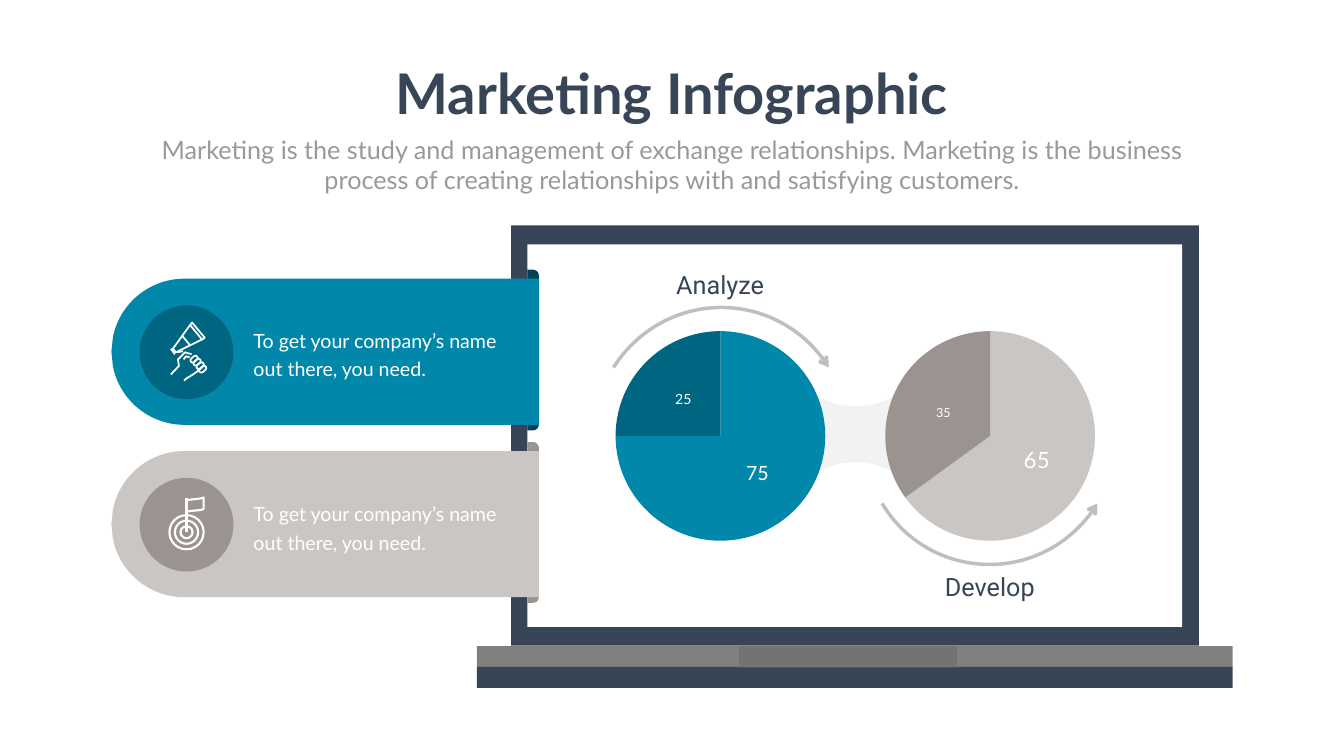
import pptx
import pptx.util
import pptx.dml.color
import pptx.chart.data
import pptx.oxml
import pptx.oxml.ns
from pptx.enum.chart import XL_CHART_TYPE, XL_LABEL_POSITION
from pptx.enum.shapes import MSO_CONNECTOR, MSO_SHAPE
from pptx.enum.text import MSO_ANCHOR, PP_ALIGN

PX = 9144
WIDTH, HEIGHT = 2666, 1500
NAVY, GREY, WHITE, SOFT = "374556", "808080", "FFFFFF", "999999"

TITLE = "Marketing Infographic"
SUBTITLE = ("Marketing is the study and management of exchange relationships. Marketing is the "
            "business process of creating relationships with and satisfying customers.")
BANNER_TEXT = "To get your company’s name out there, you need."

LAPTOP = [
    ((1014, 447, 1364, 834), NAVY),
    ((1046, 485, 1299, 759), WHITE),
    ((946, 1282, 1499, 42), GREY),
    ((946, 1323, 1499, 42), NAVY),
    ((1466, 1282, 432, 42), "737373"),
]
BANNERS = [
    {"top": 553, "text_top": 637, "fill": "0087AA", "tab": "004355", "disc": "006580"},
    {"top": 895, "text_top": 981, "fill": "CAC6C4", "tab": "9B9390", "disc": "9B9390"},
]
PIES = [
    {"left": 1203, "slices": [(75, "0087AA", 28), (25, "006580", 20)]},
    {"left": 1738, "slices": [(65, "CAC6C4", 32), (35, "9B9390", 18)]},
]
STEPS = [
    ("Analyze", (1301, 536, 255, 57),
     [(1217, 729), (1262, 658, 1341, 610, 1431, 610), (1521, 610, 1600, 658, 1644, 729)]),
    ("Develop", (1836, 1135, 255, 57),
     [(1750, 999), (1793, 1072, 1873, 1120, 1963, 1120), (2053, 1120, 2132, 1072, 2177, 999)]),
]
NECK = [(1811, 751), (1811, 972), (1786, 939, 1744, 917, 1697, 917),
        (1650, 917, 1608, 939, 1583, 972), (1583, 751),
        (1608, 785, 1650, 806, 1697, 806), (1744, 806, 1786, 785, 1811, 751)]
BANNER = [(366, 0), (1069, 0), (1069, 290), (366, 290), (296, 290, 237, 240, 224, 174),
          (221, 145), (224, 116), (237, 50, 296, 0, 366, 0)]

MEGAPHONE = [
    [(377, 645), (381, 640), (406, 670), (401, 674), (377, 645)],
    [(377, 645), (343, 692), (349, 699), (400, 674)],
    [(339, 743), (355, 726), (353, 713), (367, 699), (380, 703)],
    [(364, 713), (369, 707), (376, 709)],
    [(365, 755), (371, 750), (389, 740, 396, 733, 404, 726)],
]
MEGAPHONE_LINES = [((339, 692), (347, 703)), ((362, 667), (377, 685)), ((350, 699), (363, 697))]
FINGERS = [(378, 709), (384, 715), (390, 722), (395, 729)]
TARGET_CENTRE = (370, 1056)
TARGET_RADII = [34, 23, 12]
FLAG = [(370, 993), (378, 990, 395, 991, 404, 987), (404, 1010),
        (395, 1014, 378, 1012, 370, 1016)]


def rgb(color):
    return pptx.dml.color.RGBColor.from_string(color)


def emu(*values):
    return [round(v * PX) for v in values]


def paint(s, fill=None, line=None, width=2.5, alpha=None):
    s.shadow.inherit = False
    if fill:
        s.fill.solid()
        s.fill.fore_color.rgb = rgb(fill)
    else:
        s.fill.background()
    if line:
        s.line.color.rgb = rgb(line)
        s.line.width = pptx.util.Pt(width)
    else:
        s.line.fill.background()
    if alpha:
        for color in s._element.iter(pptx.oxml.ns.qn("a:srgbClr")):
            pptx.oxml.xmlchemy.OxmlElement
            color.append(element("a:alpha", val=alpha * 1000))


def element(tag, **attributes):
    e = pptx.oxml.parse_xml(f"<{tag} {pptx.oxml.ns.nsdecls(tag.split(':')[0])}/>")
    for name, value in attributes.items():
        e.set(name, str(value))
    return e


def preset(kind, box, **look):
    s = shapes.add_shape(kind, *emu(*box))
    paint(s, **look)
    return s


def disc(cx, cy, radius, **look):
    return preset(MSO_SHAPE.OVAL, (cx - radius, cy - radius, 2 * radius, 2 * radius), **look)


def flatten(path, steps=24):
    points = [path[0]]
    for part in path[1:]:
        if len(part) == 2:
            points.append(part)
            continue
        x0, y0 = points[-1]
        x1, y1, x2, y2, x3, y3 = part
        for i in range(1, steps + 1):
            t = i / steps
            a, b, c, d = (1 - t) ** 3, 3 * t * (1 - t) ** 2, 3 * t * t * (1 - t), t ** 3
            points.append((a * x0 + b * x1 + c * x2 + d * x3, a * y0 + b * y1 + c * y2 + d * y3))
    return points


def outline(path, close=True, dy=0, **look):
    points = [emu(x, y + dy) for x, y in flatten(path)]
    builder = shapes.build_freeform(*points[0], scale=1.0)
    builder.add_line_segments(points[1:], close=close)
    s = builder.convert_to_shape()
    paint(s, **look)
    return s


def stroke(start, end, width):
    s = shapes.add_connector(MSO_CONNECTOR.STRAIGHT, *emu(*start, *end))
    s.line.color.rgb = rgb(WHITE)
    s.line.width = pptx.util.Pt(width)
    s._element.spPr.append(element("a:effectLst"))


def text(words, box, size, color, font="Lato", bold=False, align=PP_ALIGN.CENTER,
         spacing=None, wrap=True, tight=False):
    tf = shapes.add_textbox(*emu(*box)).text_frame
    tf.word_wrap = wrap
    if tight:
        tf.margin_left = tf.margin_right = tf.margin_top = tf.margin_bottom = 0
        tf.vertical_anchor = MSO_ANCHOR.MIDDLE
    p = tf.paragraphs[0]
    p.alignment = align
    if spacing:
        p.line_spacing = pptx.util.Pt(spacing)
    r = p.add_run()
    r.text = words
    r.font.name, r.font.size, r.font.bold = font, pptx.util.Pt(size), bold
    r.font.color.rgb = rgb(color)


def pie(left, slices):
    data = pptx.chart.data.CategoryChartData()
    data.categories = ["1", "2"]
    data.add_series("Series 1", [value for value, _, _ in slices])
    chart = shapes.add_chart(XL_CHART_TYPE.PIE, *emu(left, 657, 450, 416), data).chart
    chart.has_legend = chart.has_title = False
    chart.font.name, chart.font.size = "Calibri", pptx.util.Pt(10)
    chart.font.color.rgb = rgb(SOFT)
    for i, (_, color, size) in enumerate(slices):
        point = chart.plots[0].series[0].points[i]
        point.format.fill.solid()
        point.format.fill.fore_color.rgb = rgb(color)
        point.format.line.fill.background()
        label = point.data_label
        label.font.name, label.font.size = "Lato", pptx.util.Pt(size)
        label.font.color.rgb = rgb(WHITE)
        label.position = XL_LABEL_POSITION.CENTER
    area = chart._chartSpace.chart.plotArea
    for old in area.findall(pptx.oxml.ns.qn("c:layout")):
        area.remove(old)
    layout, manual = element("c:layout"), element("c:manualLayout")
    for tag, value in [("layoutTarget", "inner"), ("xMode", "edge"), ("yMode", "edge"),
                       ("x", 0.04), ("y", 0), ("w", 0.925), ("h", 1)]:
        manual.append(element("c:" + tag, val=value))
    layout.append(manual)
    area.insert(0, layout)


prs = pptx.Presentation()
prs.slide_width, prs.slide_height = emu(WIDTH, HEIGHT)
slide = prs.slides.add_slide(prs.slide_layouts[6])
slide.background.fill.solid()
slide.background.fill.fore_color.rgb = rgb("FEFFFE")
shapes = slide.shapes

for box, color in LAPTOP:
    preset(MSO_SHAPE.RECTANGLE, box, fill=color)
outline(NECK, fill=GREY, alpha=10)
for name, box, path in STEPS:
    s = outline(path, close=False, line=GREY, width=5, alpha=50)
    s.line._get_or_add_ln().append(element("a:tailEnd", type="arrow"))
    text(name, box, 36, NAVY, font="Roboto", tight=True)
for item in PIES:
    pie(**item)

for item in BANNERS:
    top = item["top"]
    s = preset(MSO_SHAPE.ROUND_2_SAME_RECTANGLE, (898, top + 130, 319, 23), fill=item["tab"])
    s.adjustments[0] = 0.5
    s.rotation = 90
    outline(BANNER, dy=top, fill=item["fill"])
    text(BANNER_TEXT, (493, item["text_top"], 509, 119), 28, WHITE,
         align=PP_ALIGN.LEFT, spacing=40.8)
    disc(370, top + 146, 93, fill=item["disc"])

for path in MEGAPHONE:
    outline(path, close=False, line=WHITE)
for start, end in MEGAPHONE_LINES:
    stroke(start, end, 2.5)
for x, y in FINGERS:
    s = preset(MSO_SHAPE.ROUNDED_RECTANGLE, (x - 1, y - 1, 16, 9), line=WHITE)
    s.adjustments[0] = 0.5
    s.rotation = -40

for radius in TARGET_RADII:
    disc(*TARGET_CENTRE, radius, line=WHITE, width=3)
stroke((370, 989), TARGET_CENTRE, 3)
outline(FLAG, line=WHITE, width=3)

text(TITLE, (761, 112, 1144, 145), 80, NAVY, bold=True, wrap=False)
text(SUBTITLE, (292, 261, 2082, 131), 36, SOFT)

prs.save("out.pptx")
